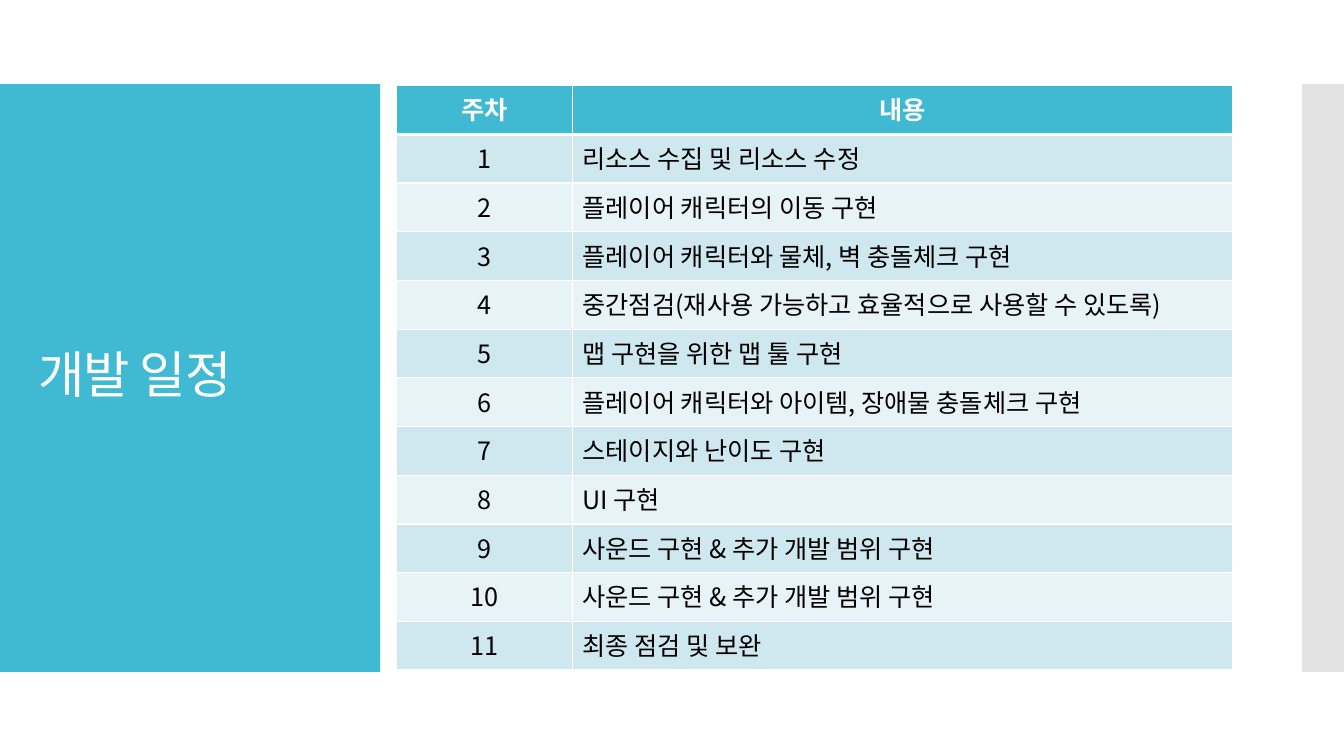
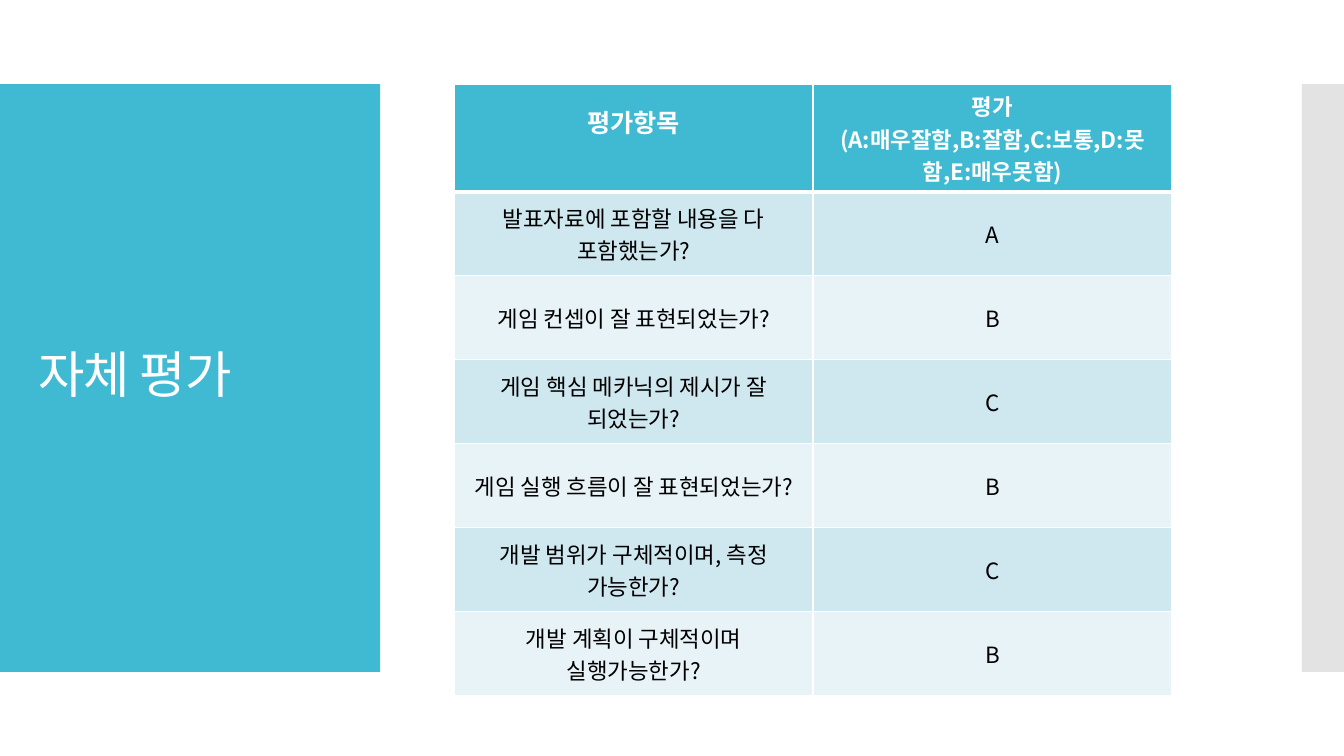
from lxml.etree import SubElement
from pptx import Presentation
from pptx.dml.color import RGBColor
from pptx.enum.shapes import MSO_SHAPE
from pptx.enum.text import MSO_ANCHOR, MSO_AUTO_SIZE, PP_ALIGN
from pptx.oxml import parse_xml
from pptx.oxml.ns import nsdecls, qn
from pptx.util import Inches, Pt

COLORS = {"accent": "40BAD2", "stripe": "C8C8C8", "white": "FFFFFF",
          "black": "000000", "odd": "CFE7EE", "even": "E8F3F7"}
FONT = "Noto Sans CJK KR"

prs = Presentation()
prs.slide_width, prs.slide_height = Inches(13.33), Inches(7.5)
COL, ROW = prs.slide_width / 32, prs.slide_height / 18


def format_run(r, size, color, bold=False):
    r.font.size, r.font.bold, r.font.name = Pt(size), bold, FONT
    r.font.color.rgb = RGBColor.from_string(COLORS[color])
    SubElement(r.font._element, qn("a:ea"), typeface=FONT)


def set_borders(cell, top, bottom):
    tcPr = cell._tc.get_or_add_tcPr()
    for i, (side, width) in enumerate(zip("LRTB", (1, 1, top, bottom))):
        tcPr.insert(i, parse_xml(
            f'<a:ln{side} {nsdecls("a")} w="{Pt(width)}"><a:solidFill>'
            f'<a:srgbClr val="{COLORS["white"]}"/></a:solidFill></a:ln{side}>'))


# Layout: title place, no footers
layout = prs.slide_layouts.get_by_name("Title Only")
for ph in list(layout.placeholders):
    if ph.placeholder_format.idx:
        ph.element.getparent().remove(ph.element)
ph = layout.placeholders[0]
ph.left, ph.top = int(0.67 * COL), int(2.95 * ROW)
ph.width, ph.height = int(7.73 * COL), int(12.07 * ROW)
ph.text_frame.vertical_anchor = MSO_ANCHOR.MIDDLE
ph.text_frame.auto_size = MSO_AUTO_SIZE.NONE

# Slide contents: positions and sizes in grid columns and rows
plan = [
    ("주차", "내용"),
    ("1", "리소스 수집 및 리소스 수정"),
    ("2", "플레이어 캐릭터의 이동 구현"),
    ("3", "플레이어 캐릭터와 물체, 벽 충돌체크 구현"),
    ("4", "중간점검(재사용 가능하고 효율적으로 사용할 수 있도록)"),
    ("5", "맵 구현을 위한 맵 툴 구현"),
    ("6", "플레이어 캐릭터와 아이템, 장애물 충돌체크 구현"),
    ("7", "스테이지와 난이도 구현"),
    ("8", "UI 구현"),
    ("9", "사운드 구현 & 추가 개발 범위 구현"),
    ("10", "사운드 구현 & 추가 개발 범위 구현"),
    ("11", "최종 점검 및 보완"),
]
review = [
    ("평가항목", "평가\n(A:매우잘함,B:잘함,C:보통,D:못함,E:매우못함)"),
    ("발표자료에 포함할 내용을 다 포함했는가?", "A"),
    ("게임 컨셉이 잘 표현되었는가?", "B"),
    ("게임 핵심 메카닉의 제시가 잘 되었는가?", "C"),
    ("게임 실행 흐름이 잘 표현되었는가?", "B"),
    ("개발 범위가 구체적이며, 측정 가능한가?", "C"),
    ("개발 계획이 구체적이며 실행가능한가?", "B"),
]
slides = [
    dict(title="개발 일정", rows=plan, left=9.43, top=2.04, cols=(4.2, 15.72),
         head=1.16, height=1.16, size=18, text_align=PP_ALIGN.LEFT,
         anchor=MSO_ANCHOR.TOP),
    dict(title="자체 평가", rows=review, left=10.82, top=2.02, cols=(8.54, 8.54),
         head=2.54, height=2, size=16, text_align=PP_ALIGN.CENTER,
         anchor=MSO_ANCHOR.MIDDLE),
]

tables = []
for spec_row in slides:
    slide = prs.slides.add_slide(layout)

    # Title
    slide.shapes.title.text_frame.text = spec_row["title"]
    p = slide.shapes.title.text_frame.paragraphs[0]
    p.alignment, p.line_spacing = PP_ALIGN.LEFT, 0.9
    format_run(p.runs[0], 36, "white")
    p.runs[0].font._element.set("spc", "-60")

    # Table
    rows, cols = spec_row["rows"], spec_row["cols"]
    heights = [spec_row["head"]] + [spec_row["height"]] * (len(rows) - 1)
    table = slide.shapes.add_table(
        len(rows), len(cols), int(spec_row["left"] * COL), int(spec_row["top"] * ROW),
        int(sum(cols) * COL), int(sum(heights) * ROW)).table
    tables.append(table)
    for column, width in zip(table.columns, cols):
        column.width = int(width * COL)
    for i, texts in enumerate(rows):
        table.rows[i].height = int(heights[i] * ROW)
        fill = "accent" if i == 0 else "odd" if i % 2 else "even"
        for j, text in enumerate(texts):
            cell = table.cell(i, j)
            cell.text_frame.text = text
            cell.vertical_anchor = spec_row["anchor"]
            cell.fill.solid()
            cell.fill.fore_color.rgb = RGBColor.from_string(COLORS[fill])
            set_borders(cell, 3 if i == 1 else 1, 3 if i == 0 else 1)
            size = 18 if i == j == 0 else spec_row["size"]
            for p in cell.text_frame.paragraphs:
                p.alignment = spec_row["text_align"] if i and j else PP_ALIGN.CENTER
                format_run(p.runs[0], size, "black" if i else "white", i == 0)

# The first heading of the review sits a little above the middle
tables[1].cell(0, 0).margin_bottom = Inches(0.39)

# Bands, moved into the layout behind the title
shapes = prs.slides[0].shapes
for n, (left, width, color) in enumerate([(0, 9.05, "accent"), (31, 1, "stripe")]):
    sp = shapes.add_shape(MSO_SHAPE.RECTANGLE, int(left * COL), int(2 * ROW),
                          int(width * COL), int(14 * ROW))
    sp.shadow.inherit = False
    sp.line.fill.background()
    sp.fill.solid()
    sp.fill.fore_color.rgb = RGBColor.from_string(COLORS[color])
    if color == "stripe":
        clr = sp.element.spPr.find(qn("a:solidFill")).find(qn("a:srgbClr"))
        SubElement(clr, qn("a:alpha"), val="50000")
    layout.shapes.element.insert(2 + n, sp.element)

prs.save("out.pptx")
